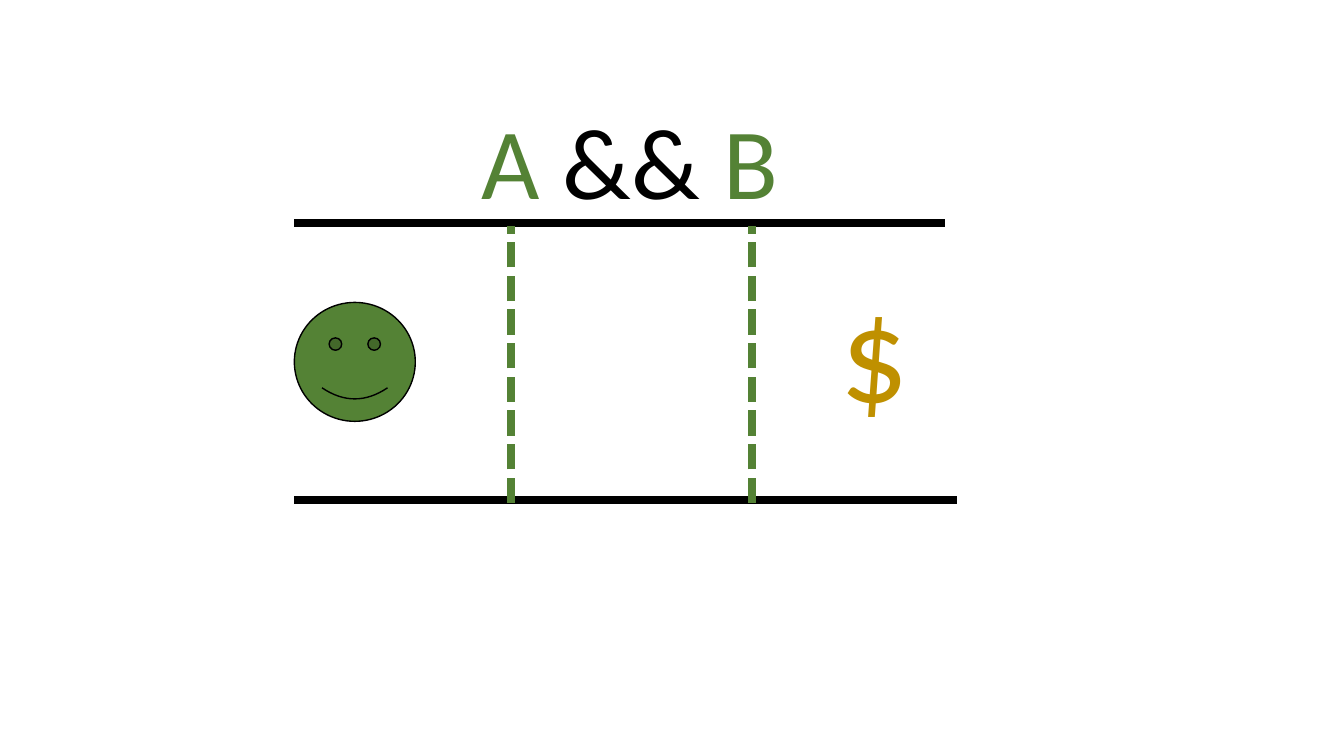
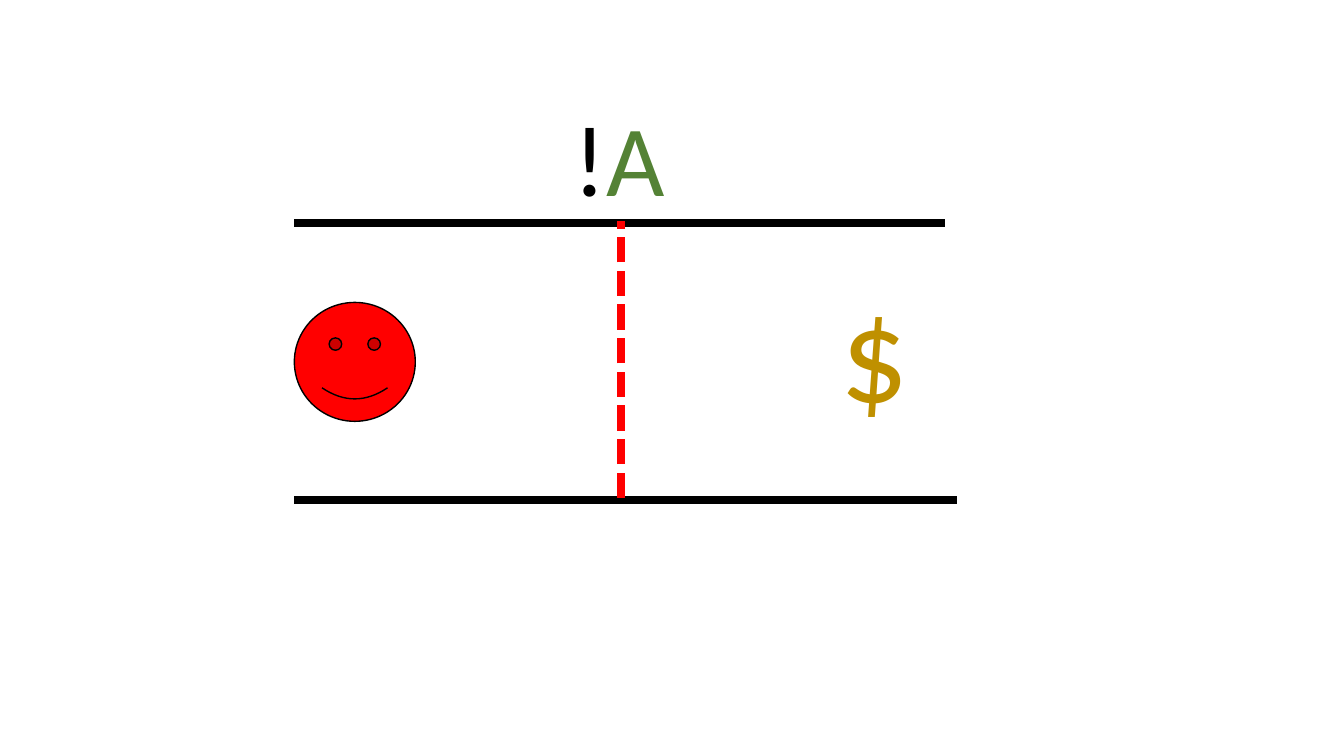
from lxml import etree
from pptx import Presentation
from pptx.dml.color import RGBColor
from pptx.enum.dml import MSO_LINE
from pptx.enum.shapes import MSO_CONNECTOR, MSO_SHAPE
from pptx.enum.text import MSO_AUTO_SIZE
from pptx.oxml.ns import qn
from pptx.util import Inches, Pt

STRAIGHT = MSO_CONNECTOR.STRAIGHT
SMILEY = MSO_SHAPE.SMILEY_FACE
DASHED = MSO_LINE.SQUARE_DOT
GROW = MSO_AUTO_SIZE.SHAPE_TO_FIT_TEXT

BLACK = RGBColor(0x00, 0x00, 0x00)
GREEN = RGBColor(0x54, 0x82, 0x35)
RED = RGBColor(0xFF, 0x00, 0x00)
GOLD = RGBColor(0xBF, 0x90, 0x00)
FONT = "Calibri"

# All places and sizes are percentages of the slide's width or height
SLIDE_W, SLIDE_H = Inches(13.33), Inches(7.5)
CORRIDOR_LEFT = 21.9
CEILING, FLOOR = 29.47, 66.13
CEILING_END, FLOOR_END = 70.28, 71.18
WALL_WEIGHT = Pt(6)


def across(share):
    return round(SLIDE_W * share / 100)


def down(share):
    return round(SLIDE_H * share / 100)


def add_bar(slide, start, end, color, dash=None):
    """Draw a thick straight line between two (x, y) points."""
    bar = slide.shapes.add_connector(
        STRAIGHT, across(start[0]), down(start[1]), across(end[0]), down(end[1]))
    bar.line.color.rgb = color
    bar.line.width = WALL_WEIGHT
    if dash is not None:
        bar.line.dash_style = dash
    etree.SubElement(bar._element.spPr, qn("a:effectLst"))


def add_label(slide, left, top, width, height, size, pieces):
    """Write one line of text from (text, colour) pieces."""
    label = slide.shapes.add_textbox(
        across(left), down(top), across(width), down(height))
    frame = label.text_frame
    frame.word_wrap = False
    frame.auto_size = GROW
    for text, color in pieces:
        run = frame.paragraphs[0].add_run()
        run.text = text
        run.font.name = FONT
        run.font.size = Pt(size)
        run.font.color.rgb = color


def add_player(slide, color):
    player = slide.shapes.add_shape(
        SMILEY, across(CORRIDOR_LEFT), down(40), across(9), down(15.73))
    player.shadow.inherit = False
    player.fill.solid()
    player.fill.fore_color.rgb = color
    player.line.color.rgb = BLACK
    player.line.width = Pt(1)


def add_corridor(prs, formula, formula_box, gates, gate_top, color):
    """Build a slide: corridor walls, gates, formula, player and prize."""
    slide = prs.slides.add_slide(prs.slide_layouts[6])
    # Walls
    for height, end in ((CEILING, CEILING_END), (FLOOR, FLOOR_END)):
        add_bar(slide, (CORRIDOR_LEFT, height), (end, height), BLACK)
    # Gates, dashed from the floor up
    gate_bottom = gate_top + FLOOR - CEILING
    for gate in gates:
        add_bar(slide, (gate, gate_bottom), (gate, gate_top), color, DASHED)
    # Formula, player and prize
    add_label(slide, *formula_box, 72, formula)
    add_player(slide, color)
    add_label(slide, 61.8, 34.8, 6.6, 22.93, 96, [("$", GOLD)])


def main():
    prs = Presentation()
    prs.slide_width, prs.slide_height = SLIDE_W, SLIDE_H
    # Both conditions hold
    add_corridor(prs, [("A ", GREEN), ("&& ", BLACK), ("B", GREEN)],
                 (35.1, 12.4, 23.78, 17.47), (38.03, 55.95), 29.87, GREEN)
    # Negated condition
    add_corridor(prs, [("!", BLACK), ("A", GREEN)],
                 (41.93, 12, 8.4, 17.47), (46.2,), 29.2, RED)
    prs.save("out.pptx")


if __name__ == "__main__":
    main()
